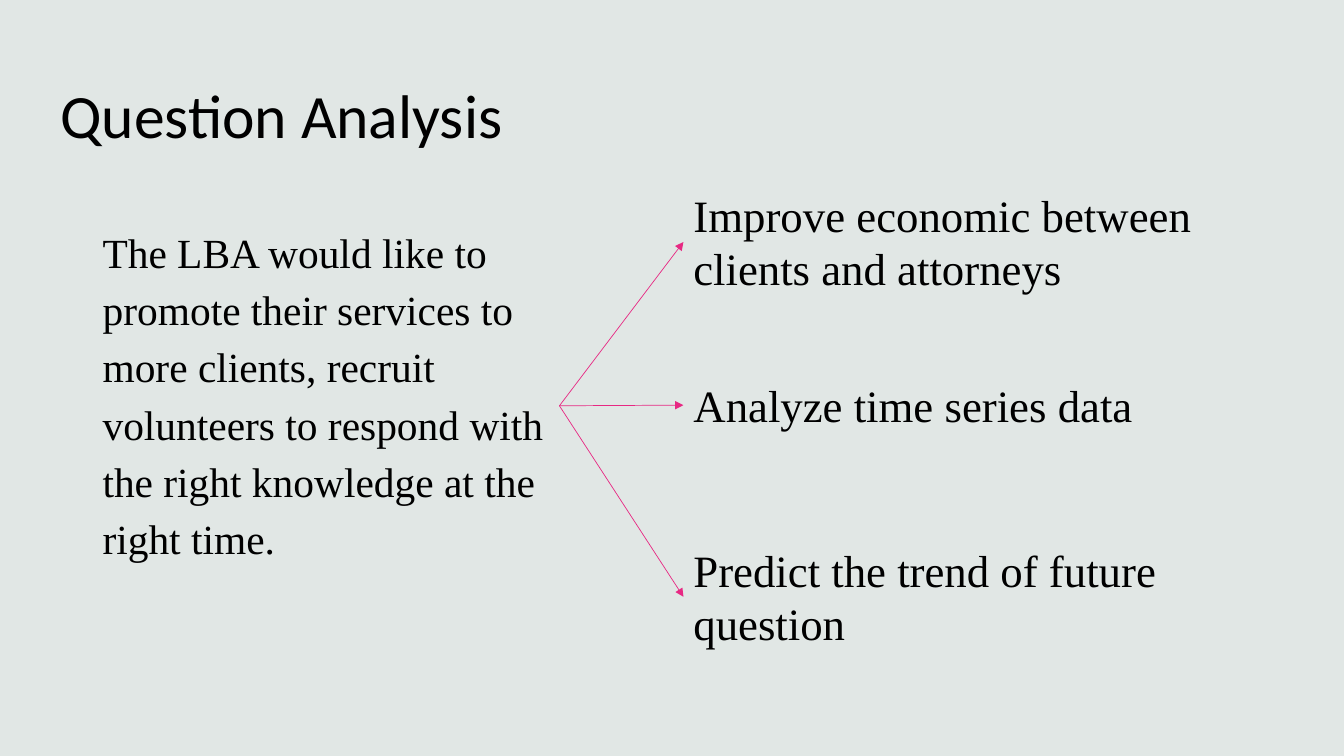
import pptx
import pptx.dml.color
import pptx.enum.shapes
import pptx.enum.text
import pptx.oxml
import pptx.oxml.ns
import pptx.util
from lxml import etree

Pt = pptx.util.Pt
COLORS = {"backdrop": "D5DEDB", "text": "000000", "arrow": "E72983"}
GOALS = [
    ("Improve economic between clients and attorneys", 130.3, 405.4, 85),
    ("Analyze time series data", 266.4, 363.6, 46),
    ("Predict the trend of future question", 383.8, 405.4, 85),
]


def rgb(name):
    """Return the named colour."""
    return pptx.dml.color.RGBColor.from_string(COLORS[name])


def sub(parent, tag, **attrs):
    """Append a child element with attributes."""
    return etree.SubElement(parent, pptx.oxml.ns.qn(tag), **attrs)


def add_backdrop(s, width, height):
    """Cover the slide with a translucent tint."""
    sp = s.shapes.add_shape(pptx.enum.shapes.MSO_SHAPE.RECTANGLE, 0, 0, width, height)
    sp.shadow.inherit = False
    sp.line.fill.background()
    sp.fill.solid()
    sp.fill.fore_color.rgb = rgb("backdrop")
    color = sp._element.spPr.find(".//" + pptx.oxml.ns.qn("a:srgbClr"))
    sub(color, "a:alpha", val="70000")


def add_text(s, text, left, top, width, height, size=32, font="Times New Roman",
             anchor="TOP", spacing=None):
    """Add a wrapped text box and return it."""
    sp = s.shapes.add_textbox(Pt(left), Pt(top), Pt(width), Pt(height))
    tf = sp.text_frame
    tf.word_wrap = True
    tf.vertical_anchor = pptx.enum.text.MSO_ANCHOR[anchor]
    p = tf.paragraphs[0]
    p.line_spacing = spacing
    r = p.add_run()
    r.text = text
    r.font.size = Pt(size)
    r.font.name = font
    r.font.color.rgb = rgb("text")
    return sp


def add_arrow(s, source, target):
    """Join the right side of one box to the left side of another."""
    line = s.shapes.add_connector(pptx.enum.shapes.MSO_CONNECTOR.STRAIGHT, 0, 0, 0, 0)
    line.begin_connect(source, 3)
    line.end_connect(target, 1)
    line.line.color.rgb = rgb("arrow")
    line.line.width = Pt(0.5)
    sub(line.line._get_or_add_ln(), "a:tailEnd", type="triangle")
    sub(line._element.spPr, "a:effectLst")


def main():
    """Build and save the slide."""
    prs = pptx.Presentation()
    prs.slide_width, prs.slide_height = Pt(960), Pt(540)
    s = prs.slides.add_slide(prs.slide_layouts[6])
    add_backdrop(s, prs.slide_width, prs.slide_height)
    add_text(s, "Question Analysis", 36, 28.8, 858, 104.4,
             size=44, font="Calibri", anchor="MIDDLE")
    need = add_text(
        s,
        "The LBA would like to promote their services to more clients, recruit "
        "volunteers to respond with the right knowledge at the right time.",
        66.2, 153.4, 333.4, 272.9, size=29.6, spacing=1.15)
    for text, top, width, height in GOALS:
        goal = add_text(s, text, 488.2, top, width, height)
        add_arrow(s, need, goal)
    prs.save("out.pptx")


if __name__ == "__main__":
    main()
